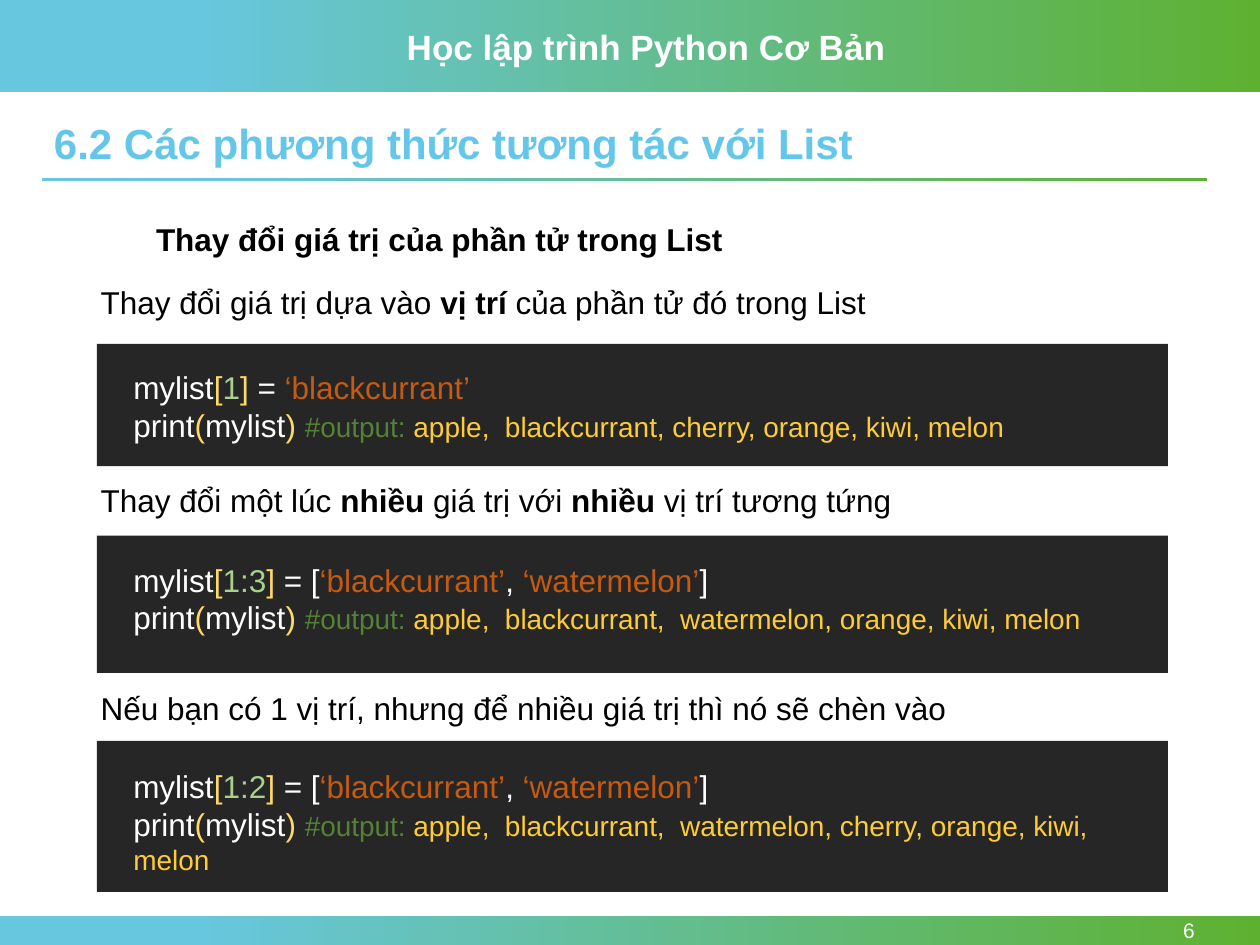
from dataclasses import dataclass

from pptx import Presentation
from pptx.dml.color import RGBColor
from pptx.enum.shapes import MSO_SHAPE
from pptx.enum.text import MSO_ANCHOR, PP_ALIGN
from pptx.util import Inches, Pt


@dataclass(frozen=True)
class Theme:
    font: str = "Arial"
    sky: str = "67C7DF"
    green: str = "5EB130"
    title: str = "64C7E9"
    white: str = "FFFFFF"
    black: str = "000000"
    panel: str = "262626"
    bracket: str = "FFD966"
    number: str = "A9D18E"
    string: str = "C55A11"
    comment: str = "548235"
    output: str = "FECC36"
    title_size: int = 24
    header_size: int = 20
    body_size: int = 18
    output_size: int = 16
    page_size: int = 12


T = Theme()


def add_rect(slide, box):
    s = slide.shapes.add_shape(MSO_SHAPE.RECTANGLE, *map(Inches, box))
    s.shadow.inherit = False
    s.line.fill.background()
    return s


def add_band(slide, box):
    """Rectangle with the sky-to-green gradient."""
    fill = add_rect(slide, box).fill
    fill.gradient()
    fill.gradient_angle = 0
    for stop, position, color in zip(fill.gradient_stops, (0.15, 1), (T.sky, T.green)):
        stop.position = position
        stop.color.rgb = RGBColor.from_string(color)


def add_text(slide, box, lines, wrap=True):
    """Each line is a list of (text, colour, size, bold) runs."""
    tf = slide.shapes.add_textbox(*map(Inches, box)).text_frame
    tf.word_wrap = wrap
    for i, line in enumerate(lines):
        p = tf.add_paragraph() if i else tf.paragraphs[0]
        for text, color, size, bold in line:
            r = p.add_run()
            r.text = text
            r.font.name = T.font
            r.font.size = Pt(size)
            r.font.bold = bold
            r.font.color.rgb = RGBColor.from_string(color)
    return tf


def add_header(slide, box):
    left, top, width, height = box
    add_band(slide, box)
    add_text(slide, (left + 3.13, top + 0.15, 4, 0.44),
             [[("Học lập trình Python Cơ Bản", T.white, T.header_size, True)]], wrap=False)


def add_footer(slide, box, number):
    left, top, width, height = box
    add_band(slide, box)
    tf = add_text(slide, (left + width - 1.34, top, 0.92, height),
                  [[(str(number), T.white, T.page_size, False)]])
    tf.vertical_anchor = MSO_ANCHOR.MIDDLE
    tf.paragraphs[0].alignment = PP_ALIGN.RIGHT


def add_title(slide, box, text):
    left, top, width, height = box
    tf = add_text(slide, box, [[(text, T.title, T.title_size, True)]])
    tf.paragraphs[0].line_spacing = 0.9
    add_band(slide, (left, top + height + 0.02, width, 0.03))


def add_sentence(slide, box, parts):
    """Plain and bold parts alternate, starting with plain."""
    add_text(slide, box, [[(text, T.black, T.body_size, i % 2 == 1)
                           for i, text in enumerate(parts)]])


def add_code(slide, box, text_top, text_width, index, value, output):
    left, top, width, height = box
    fill = add_rect(slide, box).fill
    fill.solid()
    fill.fore_color.rgb = RGBColor.from_string(T.panel)

    def code(*pairs):
        return [(text, color, T.body_size, False) for text, color in pairs]

    assignment = code(("mylist", T.white), ("[", T.bracket), (index, T.number),
                      ("]", T.bracket), (" = ", T.white), *value)
    call = code(("print", T.white), ("(", T.bracket), ("mylist", T.white), (") ", T.bracket))
    call += [("#output: ", T.comment, T.output_size, False),
             (output, T.output, T.output_size, False)]
    add_text(slide, (left + 0.19, top + text_top, text_width, height - text_top),
             [assignment, call])


def add_examples(slide, left):
    single = [("‘blackcurrant’", T.string)]
    pair = [("[", T.white), *single, (",", T.white), (" ‘watermelon’", T.string), ("]", T.white)]
    # sentence top, sentence parts, panel top, panel height, code offset, code width, index, value, output
    examples = [
        (2.2, ["Thay đổi giá trị dựa vào ", "vị trí ", "của phần tử đó trong List"],
         2.73, 0.97, 0.14, 8.1, "1", single,
         "apple,  blackcurrant, cherry, orange, kiwi, melon"),
        (3.77, ["Thay đổi một lúc ", "nhiều ", "giá trị với ", "nhiều ", "vị trí tương tứng"],
         4.25, 1.09, 0.15, 8.1, "1:3", pair,
         "apple,  blackcurrant,  watermelon, orange, kiwi, melon"),
        (5.42, ["Nếu bạn có 1 vị trí, nhưng để nhiều giá trị thì nó sẽ chèn vào"],
         5.88, 1.2, 0.16, 8.3, "1:2", pair,
         "apple,  blackcurrant,  watermelon, cherry, orange, kiwi, melon"),
    ]
    for top, parts, panel_top, height, offset, width, index, value, output in examples:
        add_sentence(slide, (left, top, 8.42, 0.4), parts)
        add_code(slide, (left + 0.07, panel_top, 8.5, height), offset, width,
                 index, value, output)


def main():
    prs = Presentation()
    prs.slide_width, prs.slide_height = Inches(10), Inches(7.5)
    slide = prs.slides.add_slide(prs.slide_layouts[6])
    add_header(slide, (0, 0, 10, 0.73))
    add_footer(slide, (0, 7.27, 10, 0.23), 6)
    add_title(slide, (0.33, 0.93, 9.25, 0.46), "6.2 Các phương thức tương tác với List")
    add_text(slide, (1.14, 1.7, 7.03, 0.4),
             [[("Thay đổi giá trị của phần tử trong List", T.black, T.body_size, True)]])
    add_examples(slide, 0.7)
    prs.save("out.pptx")


if __name__ == "__main__":
    main()
